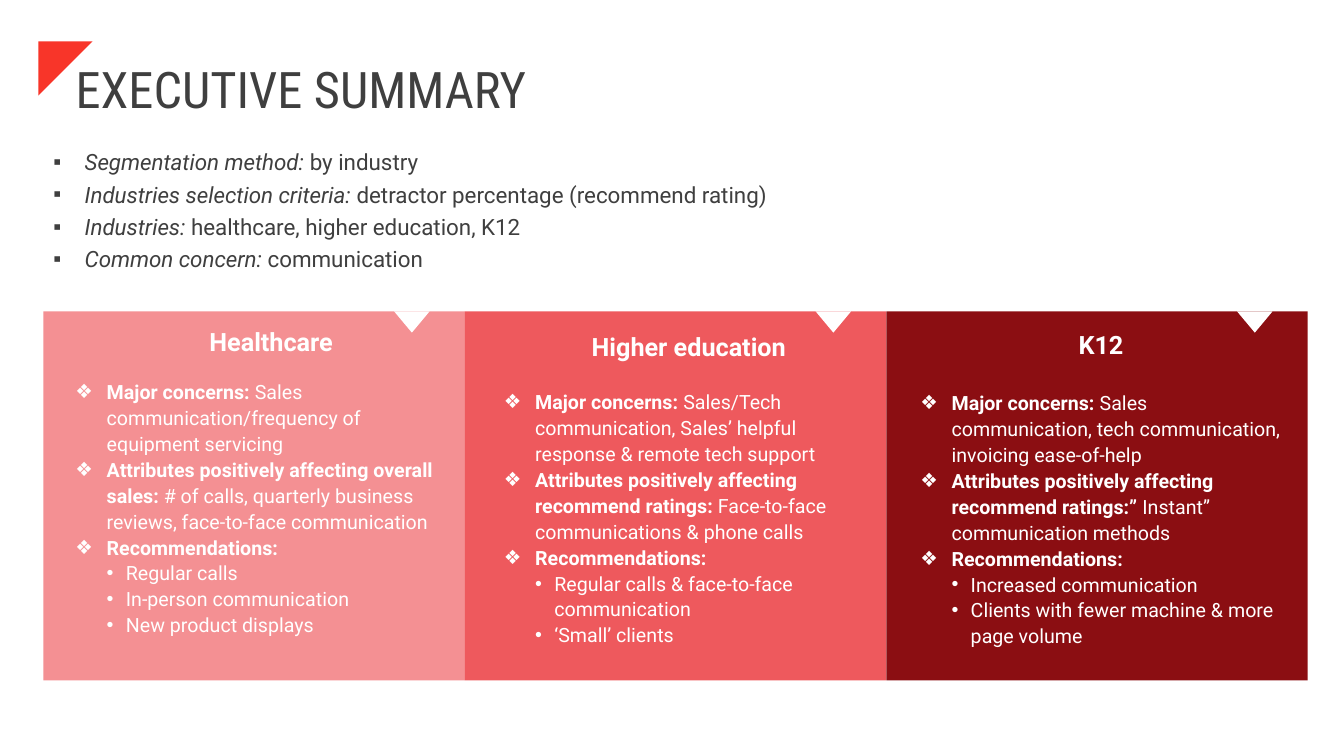
from lxml.etree import SubElement
from pptx import Presentation
from pptx.dml.color import RGBColor
from pptx.enum.shapes import MSO_SHAPE
from pptx.enum.text import MSO_ANCHOR, MSO_AUTO_SIZE, PP_ALIGN
from pptx.oxml.ns import qn
from pptx.util import Inches, Pt

WIDE, HIGH = 13.33, 7.5
WHITE, GREY, RED = "FFFFFF", "3F3F3F", "F83529"
LEFT, TOP, COL, ROW = 0.43, 3.09, 4.18, 3.66
NOTCH = (0.35, 0.21)
LIST = {"bullet": "▪", "indent": 0.31, "hang": 0.31}
MAIN = {"bullet": "❖", "indent": 0.31, "hang": 0.31}
SUB = {"bullet": "•", "indent": 0.5, "hang": 0.19, "level": 1}

TITLE = "EXECUTIVE SUMMARY"
FACTS = [
    ("Segmentation method:", " by industry"),
    ("Industries selection criteria: ", "detractor percentage (recommend rating)"),
    ("Industries: ", "healthcare, higher education, K12"),
    ("Common concern: ", "communication"),
]
CARDS = [
    {
        "name": "Healthcare", "fill": "F49093", "align": PP_ALIGN.CENTER,
        "head": (0.78, 0.1), "body": (0.22, 0.61, 3.85, 2.93),
        "points": [
            ("Major concerns: ", "Sales communication/frequency of equipment servicing"),
            ("Attributes positively affecting overall sales: ",
             "# of calls, quarterly business reviews, face-to-face communication"),
            ("Recommendations:", ""),
        ],
        "steps": ["Regular calls", "In-person communication", "New product displays"],
    },
    {
        "name": "Higher education", "fill": "EE595D", "align": PP_ALIGN.LEFT,
        "head": (1.16, 0.15), "body": (0.29, 0.71, 3.77, 2.69),
        "points": [
            ("Major concerns: ",
             "Sales/Tech communication, Sales’ helpful response & remote tech support"),
            ("Attributes positively affecting recommend ratings: ",
             "Face-to-face communications & phone calls"),
            ("Recommendations:", ""),
        ],
        "steps": ["Regular calls & face-to-face communication", "‘Small’ clients"],
    },
    {
        "name": "K12", "fill": "8B0E12", "align": PP_ALIGN.CENTER,
        "head": (0.65, 0.13), "body": (0.24, 0.72, 3.77, 2.93),
        "points": [
            ("Major concerns:",
             " Sales communication, tech communication, invoicing ease-of-help"),
            ("Attributes positively affecting recommend ratings:” ",
             "Instant” communication methods"),
            ("Recommendations:", ""),
        ],
        "steps": ["Increased communication", "Clients with fewer machine & more page volume"],
    },
]


def color(code):
    return RGBColor.from_string(code)


def place(shape, x, y, w, h):
    shape.left, shape.top = Inches(x), Inches(y)
    shape.width, shape.height = Inches(w), Inches(h)
    return shape


def paint(shape, code):
    shape.shadow.inherit = False
    shape.fill.solid()
    shape.fill.fore_color.rgb = color(code)
    shape.line.fill.background()
    return shape


def box(x, y, w, h):
    return slide.shapes.add_textbox(Inches(x), Inches(y), Inches(w), Inches(h))


def block(x, y, w, h, kind, code):
    shape = slide.shapes.add_shape(kind, Inches(x), Inches(y), Inches(w), Inches(h))
    return paint(shape, code)


def write(shape, rows, size=14, code=WHITE, font="Roboto", align=PP_ALIGN.LEFT,
          space=1.0, anchor=MSO_ANCHOR.TOP):
    frame = shape.text_frame
    frame.word_wrap = True
    frame.auto_size = MSO_AUTO_SIZE.NONE
    frame.vertical_anchor = anchor
    for i, (runs, mark) in enumerate(rows):
        para = frame.paragraphs[0] if i == 0 else frame.add_paragraph()
        if mark:
            para.level = mark.get("level", 0)
            props = para._p.get_or_add_pPr()
            props.set("marL", str(Inches(mark["indent"])))
            props.set("indent", str(-Inches(mark["hang"])))
            SubElement(props, qn("a:buFont")).set("typeface", "Arial")
            SubElement(props, qn("a:buChar")).set("char", mark["bullet"])
        para.alignment = align
        para.line_spacing = space
        para.space_before = para.space_after = Pt(0)
        for text, style in runs:
            if text:
                run = para.add_run()
                run.text = text
                run.font.name, run.font.size = font, Pt(size)
                run.font.bold = style == "bold"
                run.font.italic = style == "italic"
                run.font.color.rgb = color(code)


def pairs(rows, style, mark):
    return [([(lead, style), (rest, None)], mark) for lead, rest in rows]


deck = Presentation()
deck.slide_width, deck.slide_height = Inches(WIDE), Inches(HIGH)
slide = deck.slides.add_slide(deck.slide_layouts[1])

path = slide.shapes.build_freeform(Inches(0.38), Inches(0.41))
path.add_line_segments([(Inches(0.92), Inches(0.41)), (Inches(0.38), Inches(0.95))])
paint(path.convert_to_shape(), RED)

title = place(slide.shapes.title, 0.65, 0.19, 11.5, 1.45)
write(title, [([(TITLE, None)], None)], size=36, code=GREY, font="Roboto Condensed",
      space=0.9, anchor=MSO_ANCHOR.MIDDLE)
facts = place(slide.placeholders[1], LEFT, 1.37, 11.91, 1.39)
write(facts, pairs(FACTS, "italic", LIST), size=16, code=GREY, space=1.2)

for i, card in enumerate(CARDS):
    x = LEFT + i * COL
    block(x, TOP, COL, ROW, MSO_SHAPE.RECTANGLE, card["fill"])
    notch = block(x + 3.48, TOP, *NOTCH, MSO_SHAPE.ISOSCELES_TRIANGLE, WHITE)
    notch.rotation = 180
    dx, dy = card["head"]
    write(box(x + dx, TOP + dy, 2.96, 0.4), [([(card["name"], "bold")], None)],
          size=18, align=card["align"])
    dx, dy, w, h = card["body"]
    steps = [([(step, None)], SUB) for step in card["steps"]]
    write(box(x + dx, TOP + dy, w, h), pairs(card["points"], "bold", MAIN) + steps,
          space=1.1)

deck.save("out.pptx")
